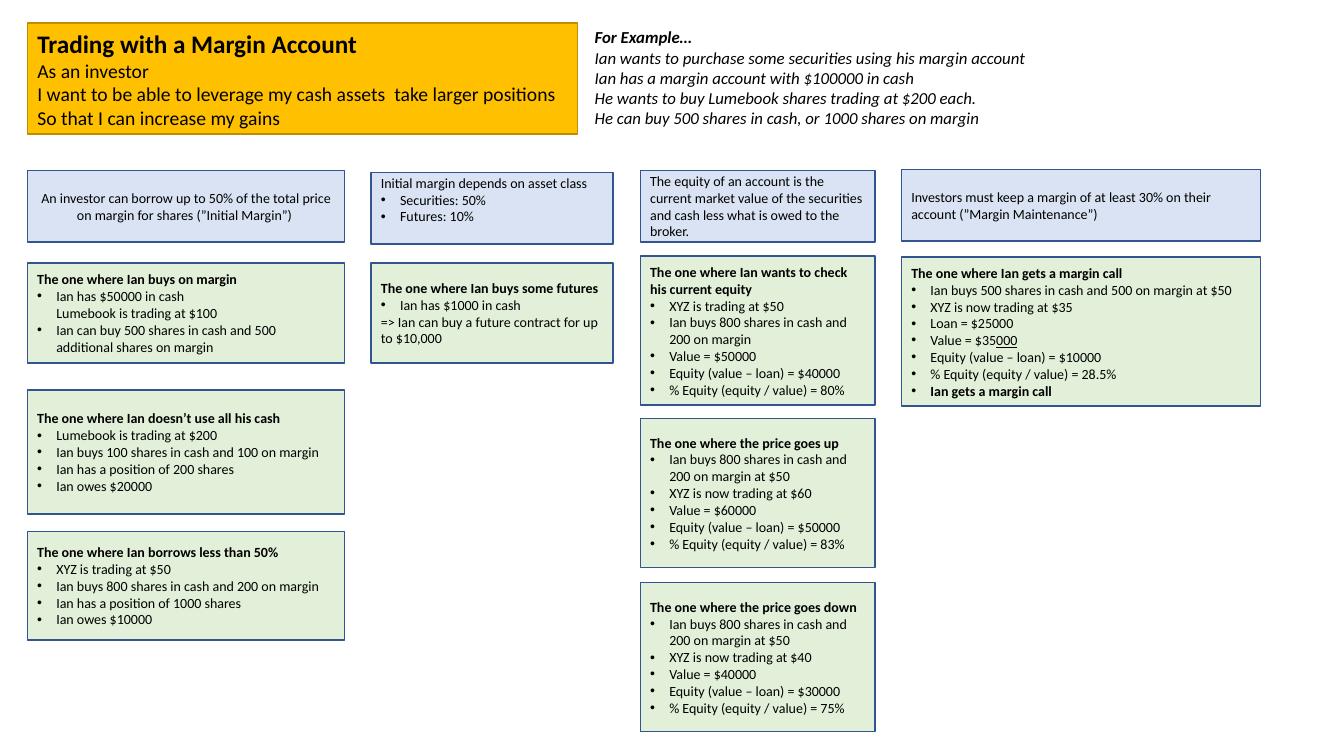
from pptx import Presentation
from pptx.dml.color import RGBColor
from pptx.enum.shapes import MSO_SHAPE
from pptx.enum.text import MSO_ANCHOR, MSO_AUTO_SIZE, PP_ALIGN
from pptx.oxml.ns import qn
from pptx.util import Inches, Pt
from lxml import etree

RECTANGLE = MSO_SHAPE.RECTANGLE
MIDDLE, TOP = MSO_ANCHOR.MIDDLE, MSO_ANCHOR.TOP
LEFT, CENTER = PP_ALIGN.LEFT, PP_ALIGN.CENTER
NO_AUTOFIT = MSO_AUTO_SIZE.NONE
TITLE_ONLY = 5

FONT, BLACK = "Calibri", "000000"
GOLD, GOLD_EDGE = "FFC000", "BD8E00"
RULE_BLUE, CARD_GREEN, CARD_EDGE = "DAE3F3", "E2F0D9", "325491"
BULLET_INDENT = 0.19

STORY_TITLE = "Trading with a Margin Account"
STORY = [
    "As an investor",
    "I want to be able to leverage my cash assets  take larger positions",
    "So that I can increase my gains",
]
EXAMPLE_TITLE = "For Example…"
EXAMPLE = [
    "Ian wants to purchase some securities using his margin account ",
    "Ian has a margin account with $100000 in cash",
    "He wants to buy Lumebook shares trading at $200 each. ",
    "He can buy 500 shares in cash, or 1000 shares on margin ",
]

# Line marks: "* " bullet, "! " bold bullet, "> " indented without bullet;
# text between underscores is underlined.
COLUMNS = [
    {"left": 0.27, "width": 3.15, "rule_top": 1.69, "rule_align": CENTER,
     "rule": ["An investor can borrow up to 50% of the total price on margin "
              "for shares (”Initial Margin”) "],
     "cards": [
         (2.61, 0.99, "The one where Ian buys on margin", [
             "* Ian has $50000 in cash",
             "> Lumebook is trading at $100",
             "* Ian can buy 500 shares in cash and 500 additional shares on margin"]),
         (3.87, 1.23, "The one where Ian doesn’t use all his cash", [
             "* Lumebook is trading at $200",
             "* Ian buys 100 shares in cash and 100 on margin",
             "* Ian has a position of 200 shares",
             "* Ian owes $20000"]),
         (5.27, 1.08, "The one where Ian borrows less than 50%", [
             "* XYZ is trading at $50",
             "* Ian buys 800 shares in cash and 200 on margin",
             "* Ian has a position of 1000 shares",
             "* Ian owes $10000"])]},
    {"left": 3.68, "width": 2.4, "rule_top": 1.71, "rule_bottom_inset": 0.22,
     "rule": ["Initial margin depends on asset class",
              "* Securities: 50%",
              "* Futures: 10%"],
     "cards": [
         (2.61, 0.99, "The one where Ian buys some futures", [
             "* Ian has $1000 in cash",
             "=> Ian can buy a future contract for up to $10,000"])]},
    {"left": 6.35, "width": 2.33, "rule_top": 1.69,
     "rule": ["The equity of an account is the current market value of the "
              "securities and cash less what is owed to the broker."],
     "cards": [
         (2.54, 1.48, "The one where Ian wants to check his current equity", [
             "* XYZ is trading at $50",
             "* Ian buys 800 shares in cash and 200 on margin",
             "* Value = $50000",
             "* Equity (value – loan) = $40000",
             "* % Equity (equity / value) = 80%"]),
         (4.15, 1.48, "The one where the price goes up", [
             "* Ian buys 800 shares in cash and 200 on margin at $50",
             "* XYZ is now trading at $60",
             "* Value = $60000",
             "* Equity (value – loan) = $50000",
             "* % Equity (equity / value) = 83%"]),
         (5.78, 1.48, "The one where the price goes down", [
             "* Ian buys 800 shares in cash and 200 on margin at $50",
             "* XYZ is now trading at $40",
             "* Value = $40000",
             "* Equity (value – loan) = $30000",
             "* % Equity (equity / value) = 75%"])]},
    {"left": 8.94, "width": 3.56, "rule_top": 1.68,
     "rule": ["Investors must keep a margin of at least 30% on their account "
              "(”Margin Maintenance”)"],
     "cards": [
         (2.55, 1.48, "The one where Ian gets a margin call", [
             "* Ian buys 500 shares in cash and 500 on margin at $50",
             "* XYZ is now trading at $35",
             "* Loan = $25000",
             "* Value = $35_000_",
             "* Equity (value – loan) = $10000",
             "* % Equity (equity / value) = 28.5%",
             "! Ian gets a margin call"])]},
]
RULE_HEIGHT = 0.71


def color(hex_code):
    """Turn a hex string into a colour."""
    return RGBColor.from_string(hex_code)


def place(shape, left, top, width, height):
    """Move and size a shape, in inches."""
    shape.left, shape.top = Inches(left), Inches(top)
    shape.width, shape.height = Inches(width), Inches(height)


def paint(shape, fill, edge):
    """Give a shape a flat fill and a thin outline."""
    shape.fill.solid()
    shape.fill.fore_color.rgb = color(fill)
    shape.line.color.rgb = color(edge)
    shape.line.width = Pt(1)


def indent(paragraph, bulleted):
    """Indent a paragraph, with a hanging bullet if asked."""
    properties = paragraph._p.get_or_add_pPr()
    properties.set("marL", str(Inches(BULLET_INDENT)))
    properties.set("indent", str(-Inches(BULLET_INDENT) if bulleted else 0))
    if bulleted:
        etree.SubElement(properties, qn("a:buFont")).set("typeface", "Arial")
        etree.SubElement(properties, qn("a:buChar")).set("char", "•")


def write(shape, lines, anchor=MIDDLE, align=LEFT, italic=False):
    """Fill a shape with lines given as (text, size, bold)."""
    frame = shape.text_frame
    frame.word_wrap, frame.auto_size = True, NO_AUTOFIT
    frame.vertical_anchor = anchor
    for number, (text, size, bold) in enumerate(lines):
        paragraph = frame.add_paragraph() if number else frame.paragraphs[0]
        paragraph.alignment = align
        paragraph.space_before = Pt(0)
        mark = text[:2]
        if mark in ("* ", "! ", "> "):
            indent(paragraph, bulleted=mark != "> ")
            text = text[2:]
        for part_number, part in enumerate(text.split("_")):
            if not part:
                continue
            run = paragraph.add_run()
            run.text = part
            font = run.font
            font.name, font.size = FONT, Pt(size)
            font.bold, font.italic = bold or mark == "! ", italic
            font.underline = part_number % 2 == 1
            font.color.rgb = color(BLACK)


def headed(heading, heading_size, lines, size):
    """Put a bold heading before plain lines."""
    return [(heading, heading_size, True)] + [(line, size, False) for line in lines]


def add_box(slide, area, fill, lines, align=LEFT):
    """Add one outlined box with text."""
    box = slide.shapes.add_shape(RECTANGLE, *map(Inches, area))
    box.shadow.inherit = False
    paint(box, fill, CARD_EDGE)
    write(box, lines, align=align)
    return box


deck = Presentation()
deck.slide_width, deck.slide_height = Inches(13.33), Inches(7.5)
slide = deck.slides.add_slide(deck.slide_layouts[TITLE_ONLY])

story = slide.shapes.title
place(story, 0.27, 0.23, 5.46, 1.1)
paint(story, GOLD, GOLD_EDGE)
write(story, headed(STORY_TITLE, 18, STORY, 14))

example = slide.shapes.add_textbox(*map(Inches, (5.8, 0.22, 4.54, 1.11)))
write(example, headed(EXAMPLE_TITLE, 12, EXAMPLE, 12), anchor=TOP, italic=True)

for column in COLUMNS:
    left, width = column["left"], column["width"]
    rule = add_box(slide, (left, column["rule_top"], width, RULE_HEIGHT), RULE_BLUE,
                   [(line, 10, False) for line in column["rule"]],
                   column.get("rule_align", LEFT))
    rule.text_frame.margin_bottom = Inches(column.get("rule_bottom_inset", 0.05))
    for top, height, heading, lines in column["cards"]:
        add_box(slide, (left, top, width, height), CARD_GREEN,
                headed(heading, 10, lines, 10))

deck.save("out.pptx")
